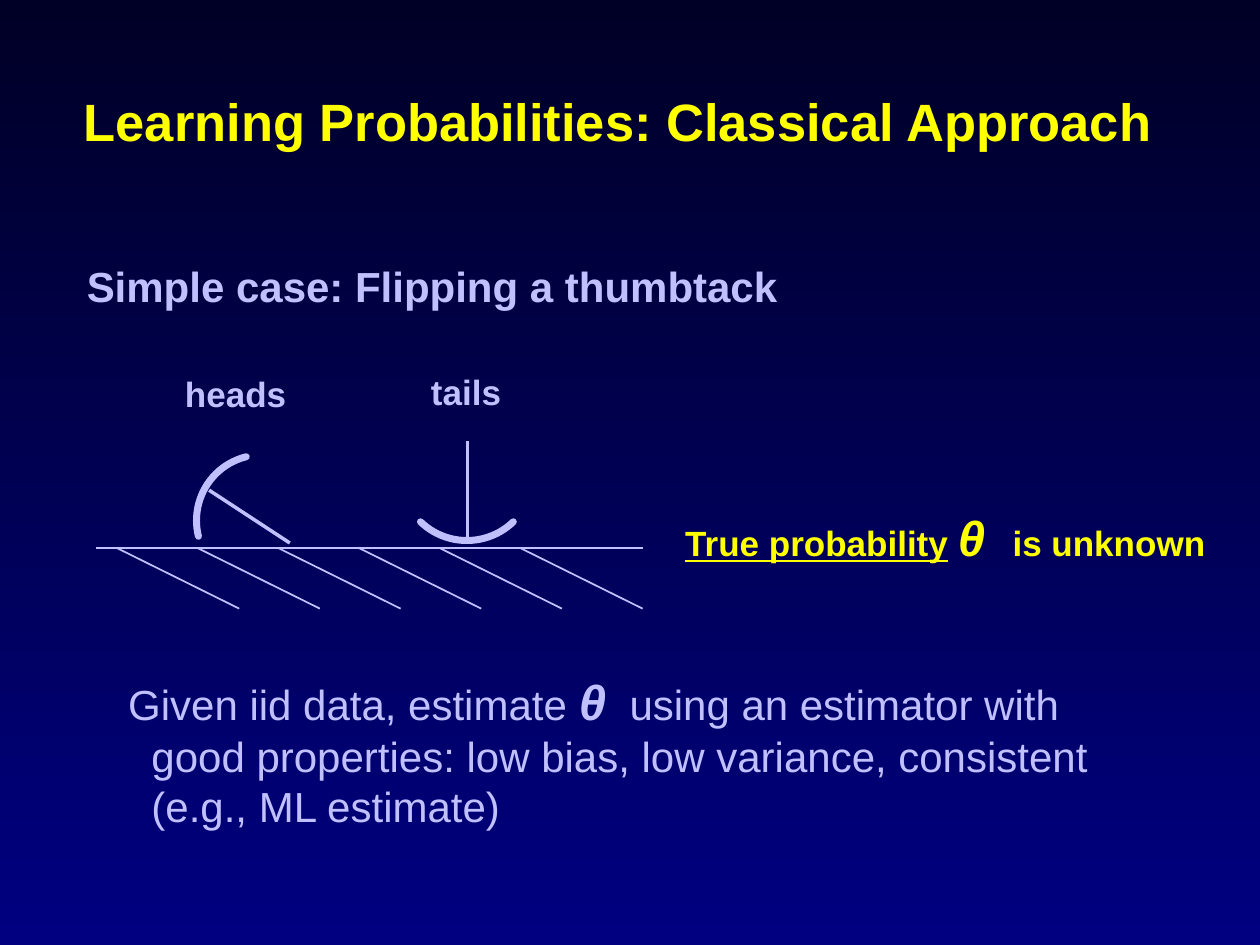
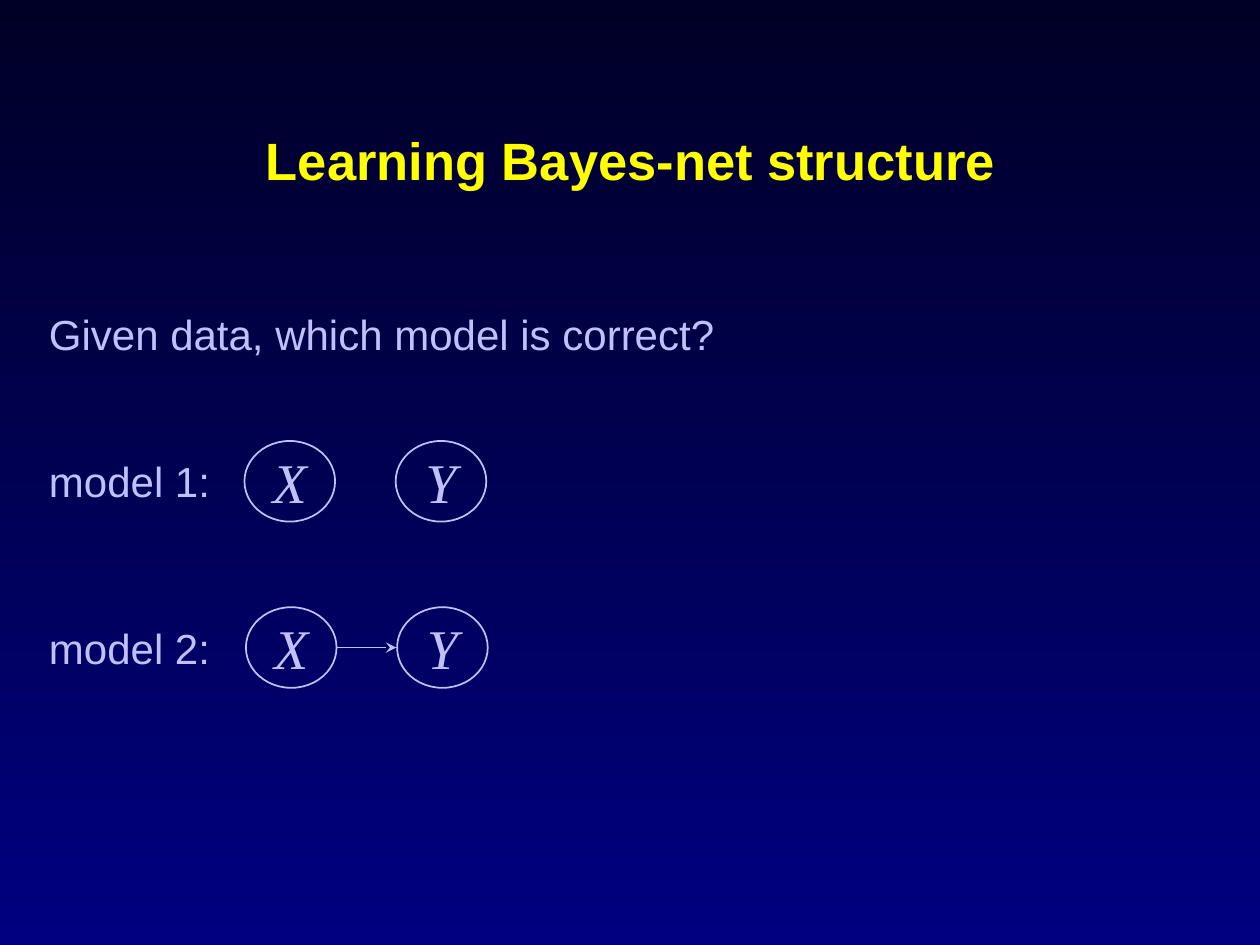
from dataclasses import dataclass

from lxml.etree import SubElement
from pptx import Presentation
from pptx.dml.color import RGBColor
from pptx.enum.shapes import MSO_CONNECTOR as CONN, MSO_SHAPE as SHAPE
from pptx.enum.text import MSO_ANCHOR as ANCHOR, MSO_AUTO_SIZE as FIT, PP_ALIGN as ALIGN
from pptx.oxml.ns import qn
from pptx.util import Pt


@dataclass(frozen=True)
class Theme:
    top: RGBColor = RGBColor.from_string("000026")
    bottom: RGBColor = RGBColor.from_string("000080")
    accent: RGBColor = RGBColor.from_string("FFFF00")
    ink: RGBColor = RGBColor.from_string("C0C0FF")
    sans: str = "Arial"
    serif: str = "Times New Roman"
    title: int = 30
    body: int = 24
    label: int = 20
    theta: int = 28
    node: int = 32


T = Theme()


def pts(*lengths):
    return [Pt(v) for v in lengths]


def new_slide(prs):
    s = prs.slides.add_slide(prs.slide_layouts[6])
    fill = s.background.fill
    fill.gradient()
    fill.gradient_angle = 270
    for stop, color in zip(fill.gradient_stops, (T.top, T.bottom)):
        stop.color.rgb = color
    return s


def style(font, size, color=T.ink, bold=False, italic=False, name=T.sans):
    font.size, font.name = Pt(size), name
    font.bold, font.italic = bold, italic
    font.color.rgb = color


def add_run(p, text):
    r = p.add_run()
    r.text = text
    return r


def add_theta(p, tracking):
    """Add the parameter symbol, with letter spacing that sets it off from the next word."""
    r = add_run(p, "θ ")
    r.font.size, r.font.bold, r.font.italic = Pt(T.theta), True, True
    r._r.get_or_add_rPr().set("spc", str(round(tracking * 100)))


def add_frame(s, box):
    """Add an empty text box that grows with its lines and does not wrap."""
    tf = s.shapes.add_textbox(*pts(*box)).text_frame
    tf.word_wrap = False
    tf.auto_size = FIT.SHAPE_TO_FIT_TEXT
    return tf


def add_label(s, box, text, size=T.body, bold=False, align=ALIGN.LEFT):
    p = add_frame(s, box).paragraphs[0]
    p.alignment = align
    style(p.font, size, bold=bold)
    add_run(p, text)


def add_title(s, box, text):
    tf = s.shapes.add_textbox(*pts(*box)).text_frame
    tf.word_wrap = True
    tf.vertical_anchor = ANCHOR.MIDDLE
    p = tf.paragraphs[0]
    p.alignment, p.line_spacing = ALIGN.CENTER, 0.9
    style(p.font, T.title, T.accent, bold=True)
    add_run(p, text)


def add_line(s, x1, y1, x2, y2, width=1, arrow=False):
    c = s.shapes.add_connector(CONN.STRAIGHT, *pts(x1, y1, x2, y2))
    c.line.color.rgb, c.line.width = T.ink, Pt(width)
    if arrow:
        SubElement(c.line._get_or_add_ln(), qn("a:tailEnd"), type="stealth")
    SubElement(c._element.spPr, qn("a:effectLst"))


def add_outline(s, shape, box, width=1):
    sp = s.shapes.add_shape(shape, *pts(*box))
    sp.shadow.inherit = False
    sp.fill.background()
    sp.line.color.rgb, sp.line.width = T.ink, Pt(width)
    return sp


def add_tack_head(s, cx, cy, radius, start, end):
    """Draw the cap as a thick arc; angles are degrees clockwise from the right."""
    box = (cx - radius, cy - radius, 2 * radius, 2 * radius)
    sp = add_outline(s, SHAPE.ARC, box, 4)
    for i, angle in enumerate((start, end)):
        sp.adjustments[i] = angle * 0.6  # 60000ths of a degree, over 100000
    sp.line._get_or_add_ln().set("cap", "rnd")


def add_ground(s, x, y, w):
    hatch_w, hatch_h, step, count = 69.8, 34.6, 46.1, 6
    add_line(s, x, y, x + w, y)
    first = x + w - hatch_w - (count - 1) * step
    for i in range(count):
        left = first + i * step
        add_line(s, left, y, left + hatch_w, y + hatch_h)


def add_thumbtacks(s, box):
    x, y, w, h = box
    add_ground(s, x, y + 105.2, w)

    add_tack_head(s, x + 212.1, y + 62.7, 38.2, 46, 134)
    add_line(s, x + 212.4, y + 98.7, x + 212.4, y + 44, 2)
    add_label(s, (x + 184.3, y, 54.7, 31), "tails", T.label, True, ALIGN.CENTER)

    add_tack_head(s, x + 95.1, y + 89.4, 37.5, 166, 256)
    add_line(s, x + 64.8, y + 72.1, x + 110.9, y + 102.3, 2)
    add_label(s, (x + 43.9, y + 1.5, 72.7, 31), "heads", T.label, True)


def add_true_probability(s, box):
    p = add_frame(s, box).paragraphs[0]
    style(p.font, T.label, T.accent, bold=True)
    add_run(p, "True probability").font.underline = True
    add_run(p, " ")
    add_theta(p, 3.9)
    add_run(p, "is unknown")


def add_estimator_note(s, box):
    tf = add_frame(s, box)
    p = tf.paragraphs[0]
    style(p.font, T.body)
    add_run(p, "Given iid data, estimate ")
    add_theta(p, 2.8)
    add_run(p, "using an estimator with")
    for text in ("good properties: low bias, low variance, consistent",
                 "(e.g., ML estimate)"):
        p = tf.add_paragraph()
        style(p.font, T.body)
        p._p.get_or_add_pPr().set("marL", str(Pt(13.3)))
        add_run(p, text)


def add_node(s, box, name):
    sp = add_outline(s, SHAPE.OVAL, box)
    tf = sp.text_frame
    tf.word_wrap = False
    tf.vertical_anchor = ANCHOR.MIDDLE
    p = tf.paragraphs[0]
    p.alignment = ALIGN.CENTER
    style(p.font, T.node, italic=True, name=T.serif)
    add_run(p, name)


def add_model(s, box, label, node_x, linked=False):
    """Draw a labelled X, Y pair, with an arrow from X to Y if linked."""
    x, y, w, h = box
    node_w, pitch = 51.8, 86.4
    add_label(s, (x, y + 5, 106.6, 36), label)
    left = x + node_x
    for i, name in enumerate("XY"):
        add_node(s, (left + i * pitch, y, node_w, h), name)
    if linked:
        mid = y + h / 2
        add_line(s, left + node_w, mid, left + pitch - 0.5, mid, 0.75, arrow=True)


def build_classical_approach(prs):
    s = new_slide(prs)
    add_title(s, (0, 33.1, 706.3, 76.3), "Learning Probabilities: Classical Approach")
    add_label(s, (42.5, 145.4, 409.7, 36), "Simple case: Flipping a thumbtack", bold=True)
    add_thumbtacks(s, (54.7, 208, 312.5, 140))
    add_true_probability(s, (384.5, 286.6, 324, 41))
    add_estimator_note(s, (66.2, 380.2, 563, 98.6))


def build_structure(prs):
    s = new_slide(prs)
    add_title(s, (61.9, 53.3, 596.9, 79.9), "Learning Bayes-net structure")
    add_label(s, (20.9, 172.8, 394.6, 36), "Given data, which model is correct?")
    add_model(s, (20.9, 252, 257, 46.1), "model 1:", 118.8)
    add_model(s, (20.9, 347, 257, 46.1), "model 2:", 119.6, linked=True)


def main():
    prs = Presentation()
    prs.slide_width, prs.slide_height = pts(720, 540)
    build_classical_approach(prs)
    build_structure(prs)
    prs.save("out.pptx")


if __name__ == "__main__":
    main()
